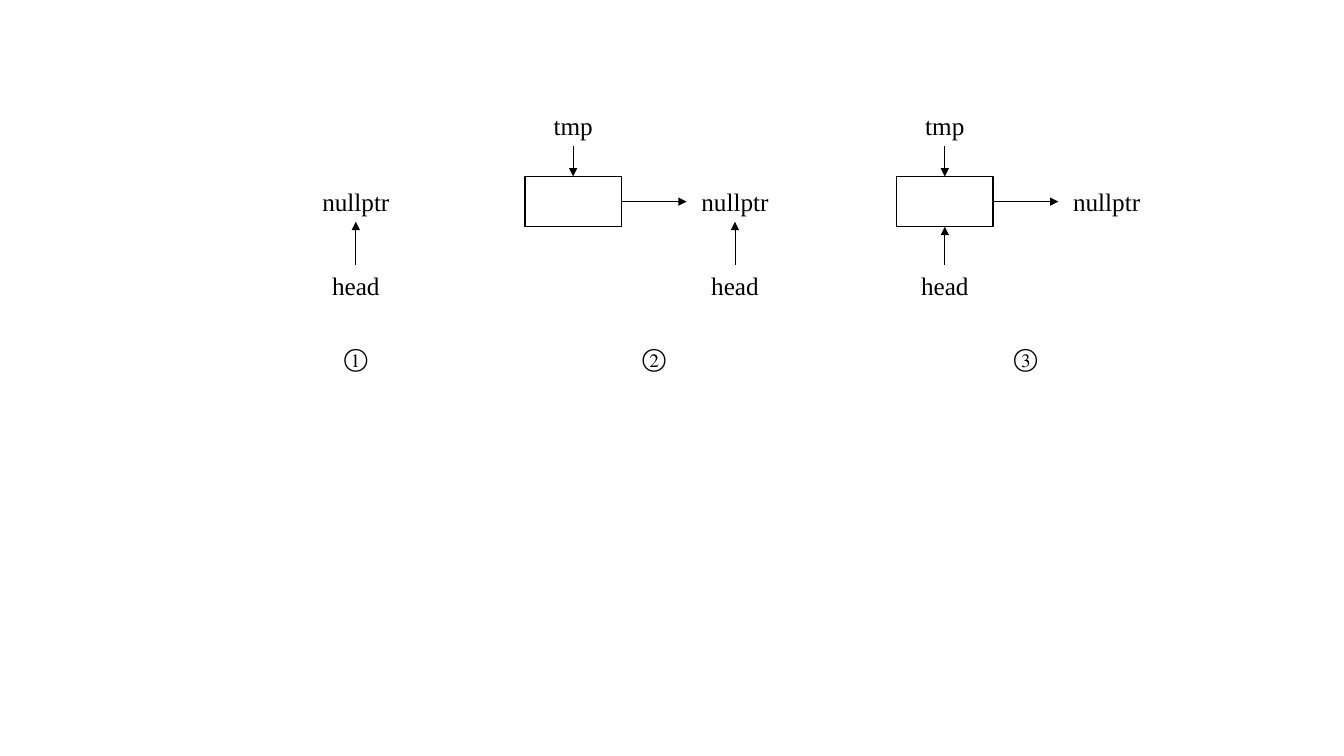
from dataclasses import dataclass

from lxml.etree import SubElement
from pptx import Presentation
from pptx.dml.color import RGBColor
from pptx.enum.shapes import MSO_CONNECTOR, MSO_SHAPE
from pptx.enum.text import MSO_ANCHOR, PP_ALIGN
from pptx.oxml.ns import qn
from pptx.util import Pt


@dataclass(frozen=True)
class Theme:
    ink: RGBColor = RGBColor(0, 0, 0)
    paper: RGBColor = RGBColor(255, 255, 255)
    font: str = "Times New Roman"
    size: float = 18
    box_line: float = 1
    arrow_line: float = 0.5


THEME = Theme()

# Rows shared by all three steps
TMP_TOP, NODE_TOP, NULL_TOP, HEAD_TOP, STEP_TOP = 75.6, 126, 129.6, 189.4, 241.2
LABEL_H, LABEL_W, NULL_W = 28.8, 54.8, 69
NODE_W, NODE_H = 69, 36
NODE_TO_NULL = 115.6  # distance between the centres of node and nullptr

prs = Presentation()
prs.slide_width, prs.slide_height = Pt(960), Pt(540)
s = prs.slides.add_slide(prs.slide_layouts[6])


def add_label(text, center, top, width=LABEL_W):
    box = s.shapes.add_textbox(Pt(center - width / 2), Pt(top), Pt(width), Pt(LABEL_H))
    tf = box.text_frame
    tf.word_wrap = True
    tf.vertical_anchor = MSO_ANCHOR.TOP
    p = tf.paragraphs[0]
    p.text = text
    p.alignment = PP_ALIGN.CENTER
    p.font.name = THEME.font
    p.font.size = Pt(THEME.size)
    p.font.color.rgb = THEME.ink


def add_arrow(x1, y1, x2, y2):
    arrow = s.shapes.add_connector(MSO_CONNECTOR.STRAIGHT, Pt(x1), Pt(y1), Pt(x2), Pt(y2))
    arrow.line.color.rgb = THEME.ink
    arrow.line.width = Pt(THEME.arrow_line)
    SubElement(arrow.line._get_or_add_ln(), qn("a:tailEnd"), type="triangle")
    SubElement(arrow._element.spPr, qn("a:effectLst"))


# Step number, centre of nullptr, whether the new node exists, whether head points to it
steps = [
    ("①", 254.2, False, False),
    ("②", 525, True, False),
    ("③", 790.5, True, True),
]

for number, null_x, has_node, head_on_node in steps:
    node_x = null_x - NODE_TO_NULL
    add_label("nullptr", null_x, NULL_TOP, NULL_W)

    if has_node:
        node = s.shapes.add_shape(
            MSO_SHAPE.RECTANGLE, Pt(node_x - NODE_W / 2), Pt(NODE_TOP), Pt(NODE_W), Pt(NODE_H))
        node.shadow.inherit = False
        node.fill.solid()
        node.fill.fore_color.rgb = THEME.paper
        node.line.color.rgb = THEME.ink
        node.line.width = Pt(THEME.box_line)
        middle = NODE_TOP + NODE_H / 2
        add_arrow(node_x + NODE_W / 2, middle, null_x - NULL_W / 2, middle)
        add_label("tmp", node_x, TMP_TOP)
        add_arrow(node_x, TMP_TOP + LABEL_H, node_x, NODE_TOP)

    head_x = node_x if head_on_node else null_x
    target_bottom = NODE_TOP + NODE_H if head_on_node else NULL_TOP + LABEL_H
    add_label("head", head_x, HEAD_TOP)
    add_arrow(head_x, HEAD_TOP, head_x, target_bottom)

    step_x = (node_x + null_x) / 2 if has_node else null_x
    add_label(number, step_x, STEP_TOP)

prs.save("out.pptx")
